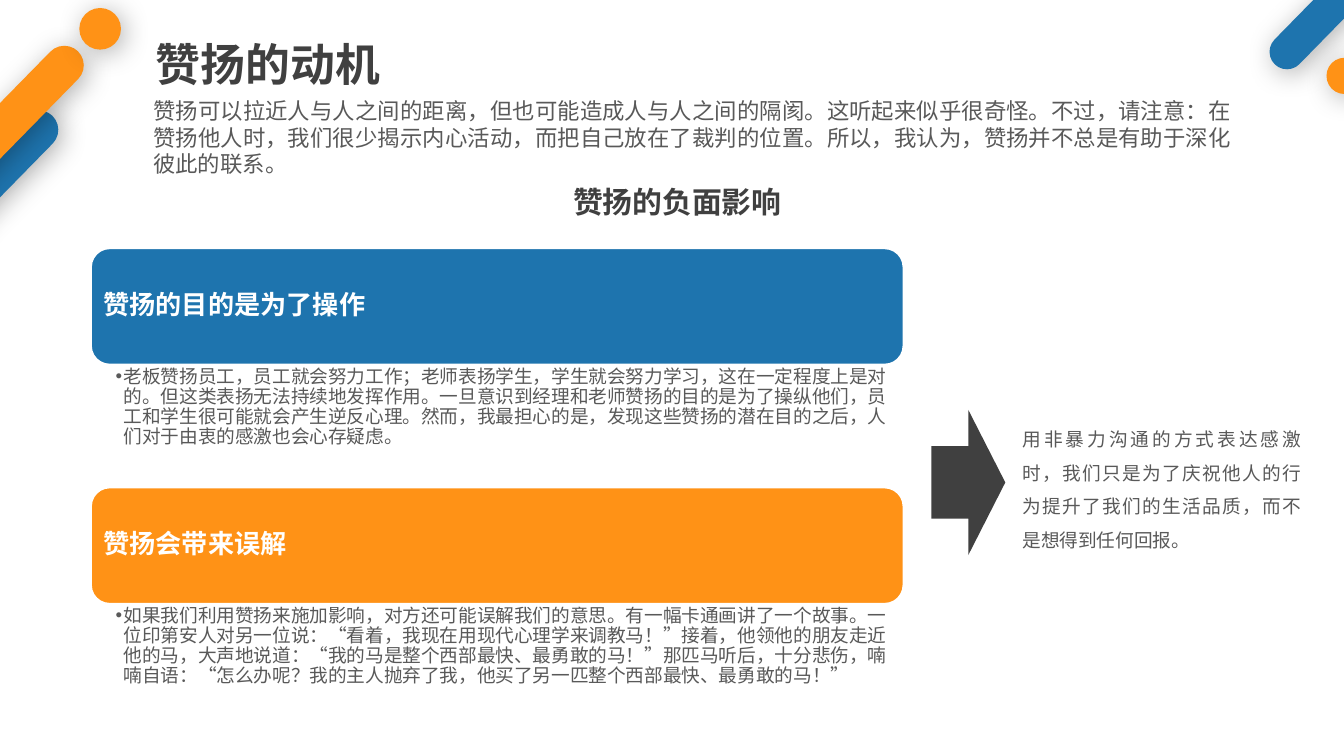
from lxml import etree
from pptx import Presentation
from pptx.dml.color import RGBColor
from pptx.enum.lang import MSO_LANGUAGE_ID
from pptx.enum.shapes import MSO_SHAPE
from pptx.enum.text import MSO_ANCHOR, MSO_AUTO_SIZE, PP_ALIGN
from pptx.oxml.ns import qn
from pptx.util import Inches, Pt

ROUNDED = MSO_SHAPE.ROUNDED_RECTANGLE
OVAL = MSO_SHAPE.OVAL
ARROW = MSO_SHAPE.RIGHT_ARROW
TOP, MIDDLE = MSO_ANCHOR.TOP, MSO_ANCHOR.MIDDLE
LEFT, CENTER, JUSTIFY = PP_ALIGN.LEFT, PP_ALIGN.CENTER, PP_ALIGN.JUSTIFY
FIXED_SIZE = MSO_AUTO_SIZE.NONE
CHINESE = MSO_LANGUAGE_ID.SIMPLIFIED_CHINESE

COLORS = {"blue": "1E74AE", "orange": "FF9216", "dark": "404040",
          "gray": "595959", "white": "FFFFFF", "shadow": "000000"}
LATIN, CJK = "Calibri", "Noto Sans CJK SC"
NORMAL_INSETS = (0.1, 0.05, 0.1, 0.05)
NO_INSETS = (0, 0, 0, 0)

CARDS = [
    ("赞扬的目的是为了操作", "blue",
     "老板赞扬员工，员工就会努力工作；老师表扬学生，学生就会努力学习，这在一定程度上是对的。"
     "但这类表扬无法持续地发挥作用。一旦意识到经理和老师赞扬的目的是为了操纵他们，"
     "员工和学生很可能就会产生逆反心理。然而，我最担心的是，"
     "发现这些赞扬的潜在目的之后，人们对于由衷的感激也会心存疑虑。"),
    ("赞扬会带来误解", "orange",
     "如果我们利用赞扬来施加影响，对方还可能误解我们的意思。有一幅卡通画讲了一个故事。"
     "一位印第安人对另一位说：“看着，我现在用现代心理学来调教马！”接着，"
     "他领他的朋友走近他的马，大声地说道：“我的马是整个西部最快、最勇敢的马！”"
     "那匹马听后，十分悲伤，喃喃自语：“怎么办呢？我的主人抛弃了我，"
     "他买了另一匹整个西部最快、最勇敢的马！”"),
]
INTRO = ("赞扬可以拉近人与人之间的距离，但也可能造成人与人之间的隔阂。这听起来似乎很奇怪。"
         "不过，请注意：在赞扬他人时，我们很少揭示内心活动，而把自己放在了裁判的位置。"
         "所以，我认为，赞扬并不总是有助于深化彼此的联系。")
CONCLUSION = ("用非暴力沟通的方式表达感激时，我们只是为了庆祝他人的行为提升了我们的生活品质，"
              "而不是想得到任何回报。")


def rgb(name):
    return RGBColor.from_string(COLORS[name])


def place(sp, box):
    sp.left, sp.top, sp.width, sp.height = (Inches(v) for v in box)


def write(sp, text, size, color, bold=False, align=LEFT, anchor=TOP,
          insets=NORMAL_INSETS, spacing=1.0, font=LATIN):
    tf = sp.text_frame
    tf.text = text
    tf.word_wrap = True
    tf.auto_size = FIXED_SIZE
    tf.vertical_anchor = anchor
    tf.margin_left, tf.margin_top, tf.margin_right, tf.margin_bottom = (
        Inches(v) for v in insets)
    p = tf.paragraphs[0]
    p.alignment = align
    p.line_spacing = spacing
    p.space_before = Pt(0)
    r = p.runs[0]
    r.font.size, r.font.bold, r.font.name = Pt(size), bold, font
    r.font.color.rgb = rgb(color)
    r.font.language_id = CHINESE
    etree.SubElement(r.font._element, qn("a:ea"), typeface=CJK)
    return p


def add_text(s, box, *args, **kwargs):
    sp = s.shapes.add_textbox(*(Inches(v) for v in box))
    return write(sp, *args, **kwargs)


def add_filled(s, kind, box, color):
    sp = s.shapes.add_shape(kind, *(Inches(v) for v in box))
    sp.shadow.inherit = False
    sp.fill.solid()
    sp.fill.fore_color.rgb = rgb(color)
    sp.line.fill.background()
    return sp


def add_soft_shadow(sp):
    effects = sp._element.spPr.find(qn("a:effectLst"))
    shadow = etree.SubElement(effects, qn("a:outerShdw"), blurRad=str(Pt(15)),
                              dist=str(Pt(3)), dir=str(45 * 60000),
                              algn="tl", rotWithShape="0")
    color = etree.SubElement(shadow, qn("a:srgbClr"), val=COLORS["shadow"])
    etree.SubElement(color, qn("a:alpha"), val="30000")


def add_corner_decor(s):
    for kind, box, color in [
        (ROUNDED, (-0.35, 0.62, 0.29, 1.7), "blue"),
        (ROUNDED, (10.02, -1.15, 0.26, 1.9), "blue"),
        (OVAL, (9.87, 0.43, 0.27, 0.27), "orange"),
        (ROUNDED, (-0.16, 0.14, 0.29, 1.7), "orange"),
        (OVAL, (0.59, 0.06, 0.31, 0.31), "orange"),
    ]:
        sp = add_filled(s, kind, box, color)
        add_soft_shadow(sp)
        if kind == ROUNDED:
            sp.adjustments[0] = 0.5
            sp.rotation = 44.4


def add_header(s, x, y):
    title = s.shapes.title
    place(title, (x, y, 5.91, 0.5))
    write(title, "赞扬的动机", 24, "dark", bold=True, font=CJK)
    add_text(s, (x + 0.08, y + 0.5, 8.03, 0.61), INTRO, 12, "gray",
             align=JUSTIFY, insets=NO_INSETS)
    add_text(s, (x + 1.34, y + 1.15, 5.28, 0.27), "赞扬的负面影响", 16, "dark",
             bold=True, align=CENTER, insets=NO_INSETS)


def add_card(s, body, box, heading, color, detail):
    x, y, w, h = box
    bar_h = 0.88
    bar = add_filled(s, ROUNDED, (x, y, w, bar_h), color)
    bar.line.color.rgb = rgb("white")
    bar.line.width = Pt(2)
    add_text(s, (x + 0.04, y + 0.04, w - 0.08, bar_h - 0.09), heading, 14,
             "white", bold=True, anchor=MIDDLE, insets=(0.06,) * 4, spacing=0.9)
    place(body, (x, y + bar_h, w, h - bar_h))
    p = write(body, detail, 10, "gray", insets=(0.19, 0.01, 0.08, 0.01),
              spacing=0.9)
    p.level = 1
    pPr = p._p.get_or_add_pPr()
    pPr.set("marL", str(Inches(0.06)))
    pPr.set("indent", str(Inches(-0.06)))
    etree.SubElement(pPr, qn("a:buChar"), char="•")


def add_conclusion(s, x, y, h):
    add_filled(s, ARROW, (x, y, 0.55, h), "dark")
    p = add_text(s, (x + 0.58, y, 2.27, h), CONCLUSION, 10, "gray",
                 align=JUSTIFY, spacing=1.5)
    p._p.get_or_add_pPr().set("hangingPunct", "0")


def main():
    prs = Presentation()
    prs.slide_width = Inches(10)
    prs.slide_height = prs.slide_width * 9 // 16
    s = prs.slides.add_slide(prs.slide_layouts[3])
    add_corner_decor(s)
    add_header(s, 1.06, 0.22)
    card_h = 1.78
    for i, card in enumerate(CARDS):
        add_card(s, s.placeholders[i + 1],
                 (0.67, 1.84 + i * card_h, 6.06, card_h), *card)
    add_conclusion(s, 6.93, 3.05, 1.08)
    prs.save("out.pptx")


if __name__ == "__main__":
    main()
